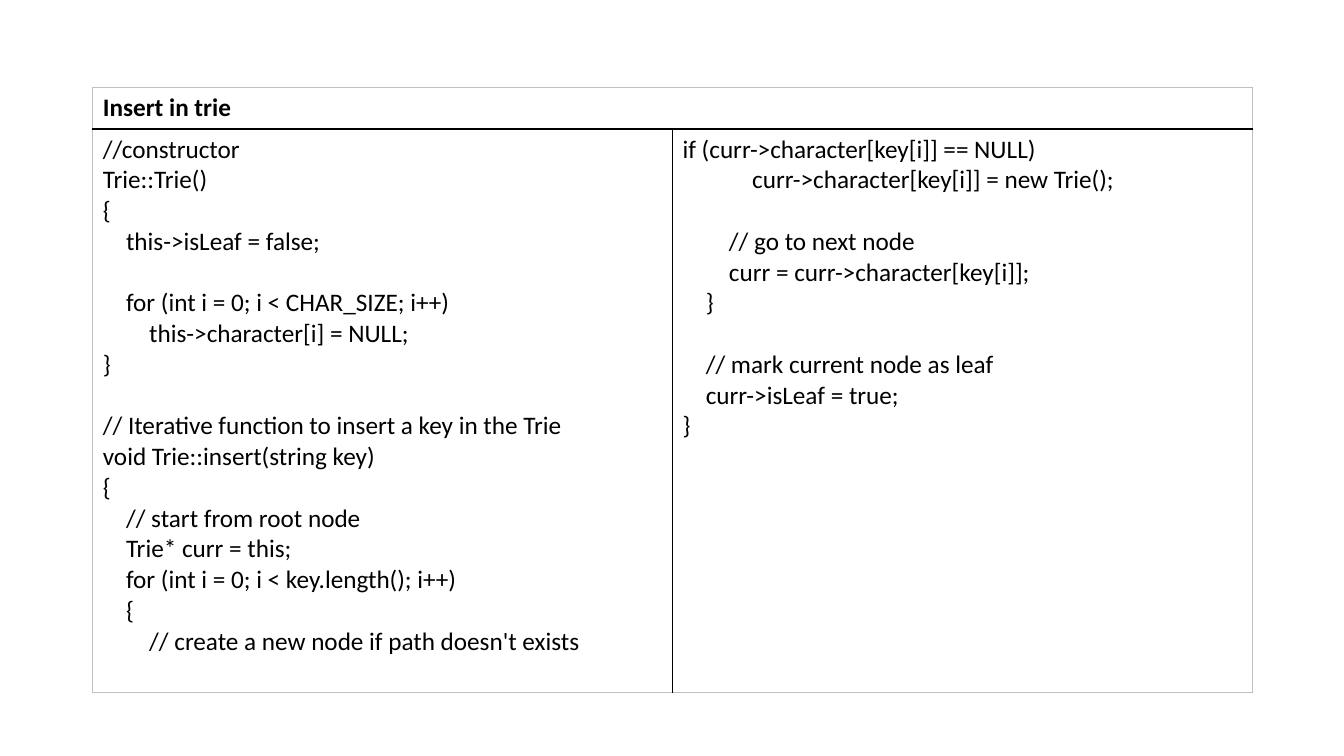
from dataclasses import dataclass

from lxml.etree import SubElement
from pptx import Presentation
from pptx.dml.color import RGBColor
from pptx.oxml.ns import qn
from pptx.util import Inches, Pt


@dataclass(frozen=True)
class Theme:
    font: str = "Calibri"
    size: int = 18
    blank_line: int = 22
    indent: float = 0.23
    text: str = "000000"
    rule: str = "000000"
    frame: str = "BFBFBF"


THEME = Theme()

TITLE = "Insert in trie"

CONSTRUCTOR_AND_LOOP = """\
//constructor
Trie::Trie()
{
    this->isLeaf = false;

    for (int i = 0; i < CHAR_SIZE; i++)
        this->character[i] = NULL;
}

// Iterative function to insert a key in the Trie
void Trie::insert(string key)
{
    // start from root node
    Trie* curr = this;
    for (int i = 0; i < key.length(); i++)
    {
        // create a new node if path doesn't exists"""

NODE_CREATION = """\
if (curr->character[key[i]] == NULL)
            curr->character[key[i]] = new Trie();

        // go to next node
        curr = curr->character[key[i]];
    }

    // mark current node as leaf
    curr->isLeaf = true;
}"""


def write_text(text_frame, text, bold=False, size=THEME.size, color=THEME.text):
    """Write lines; leading spaces become indents, empty lines become spacing."""
    paragraph = text_frame.paragraphs[0]
    gap = 0
    for number, line in enumerate(text.splitlines()):
        if not line:
            gap = THEME.blank_line
            continue
        if number:
            paragraph = text_frame.add_paragraph()
        paragraph.space_before = Pt(gap)
        gap = 0
        code = line.lstrip()
        level = (len(line) - len(code)) // 4
        properties = paragraph._p.get_or_add_pPr()
        properties.set("marL", str(Inches(level * THEME.indent)))
        properties.set("indent", "0")
        run = paragraph.add_run()
        run.text = code
        run.font.name = THEME.font
        run.font.size = Pt(size)
        run.font.bold = bold
        run.font.color.rgb = RGBColor.from_string(color)


def set_borders(cell, **colors):
    """Draw the left, right, top and bottom borders in the given colours."""
    properties = cell._tc.get_or_add_tcPr()
    for position, side in enumerate(("left", "right", "top", "bottom")):
        line = SubElement(properties, qn(f"a:ln{side[0].upper()}"), w=str(Pt(1)))
        fill = SubElement(line, qn("a:solidFill"))
        SubElement(fill, qn("a:srgbClr"), val=colors[side])
        properties.insert(position, line)


def add_code_table(slide, left, top, width, height, header_height=0.41):
    shape = slide.shapes.add_table(
        2, 2, Inches(left), Inches(top), Inches(width), Inches(height)
    )
    table = shape.table
    table.first_row = table.horz_banding = False
    for column in table.columns:
        column.width = Inches(width / 2)
    table.rows[0].height = Inches(header_height)
    table.rows[1].height = Inches(height - header_height)

    # Plain cells: grey outer frame, black inner rules
    for row in range(2):
        for column in range(2):
            cell = table.cell(row, column)
            cell.fill.background()
            inner = THEME.rule if row else THEME.frame
            set_borders(
                cell,
                left=inner if column else THEME.frame,
                right=THEME.frame if column else inner,
                top=THEME.rule if row else THEME.frame,
                bottom=THEME.frame if row else THEME.rule,
            )

    # Header across both columns, then the two code listings
    table.cell(0, 0).merge(table.cell(0, 1))
    write_text(table.cell(0, 0).text_frame, TITLE, bold=True)
    for column, listing in enumerate((CONSTRUCTOR_AND_LOOP, NODE_CREATION)):
        write_text(table.cell(1, column).text_frame, listing)


def main():
    presentation = Presentation()
    presentation.slide_width = Inches(13.33)
    presentation.slide_height = Inches(7.5)
    slide = presentation.slides.add_slide(presentation.slide_layouts[6])
    add_code_table(slide, 0.92, 0.87, 11.5, 6)
    presentation.save("out.pptx")


if __name__ == "__main__":
    main()
